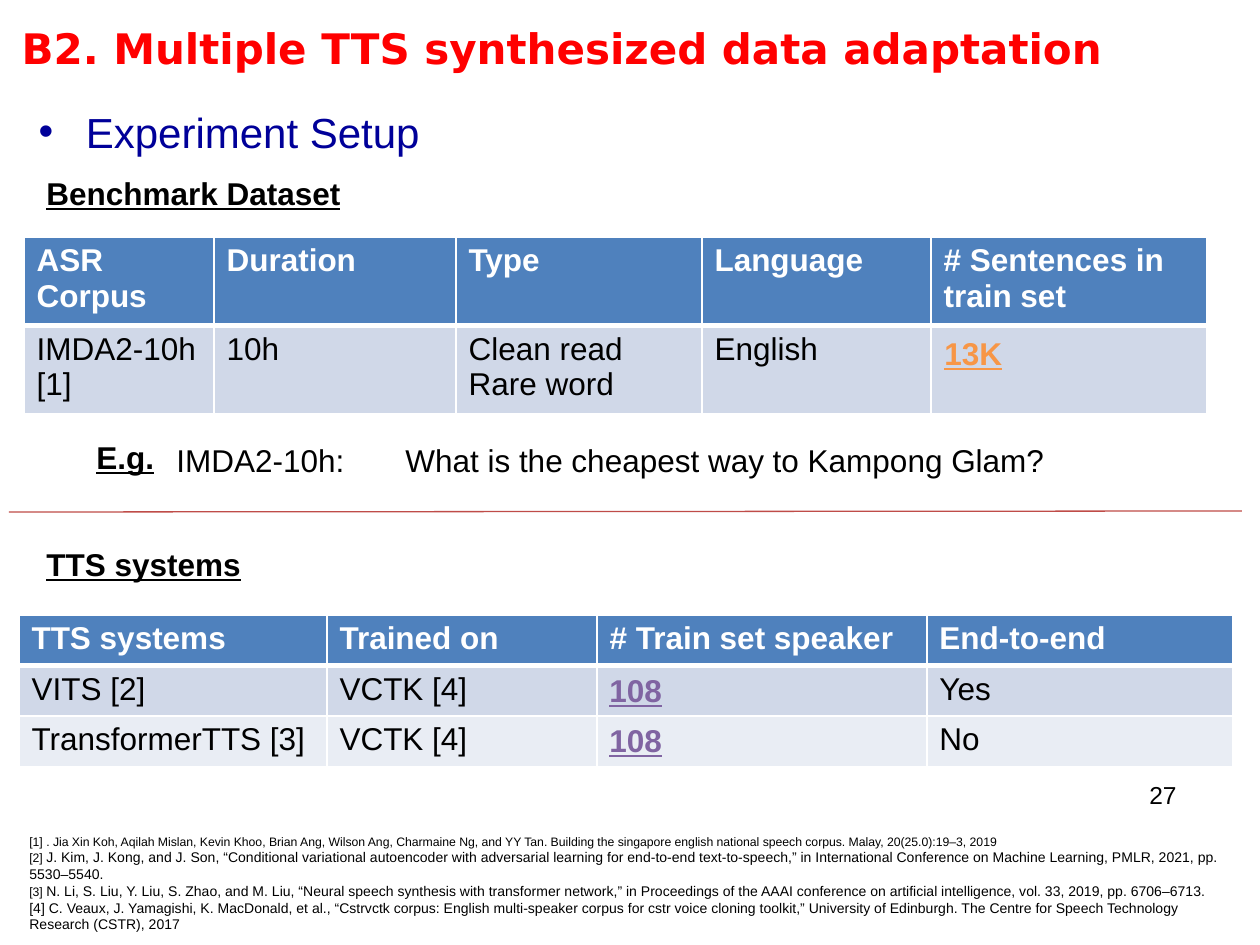
from lxml.etree import SubElement
from pptx import Presentation
from pptx.dml.color import RGBColor
from pptx.enum.shapes import MSO_CONNECTOR as Connector, MSO_SHAPE as Shape
from pptx.enum.text import MSO_ANCHOR as Anchor, MSO_AUTO_SIZE as AutoSize, PP_ALIGN as Align
from pptx.oxml import parse_xml
from pptx.oxml.ns import nsdecls, qn
from pptx.util import Emu, Pt

PX = 914400 / 126
RED = RGBColor(0xFF, 0x00, 0x00)
NAVY = RGBColor(0x00, 0x00, 0x99)
BLACK = RGBColor(0x00, 0x00, 0x00)
WHITE = RGBColor(0xFF, 0xFF, 0xFF)
HEADER_BLUE = RGBColor(0x4F, 0x81, 0xBD)
BAND_BLUE = RGBColor(0xD0, 0xD8, 0xE8)
BAND_LIGHT = RGBColor(0xE9, 0xED, 0xF4)
RULE_RED = RGBColor(0xBF, 0x4C, 0x48)
ORANGE = RGBColor(0xF7, 0x96, 0x46)
PURPLE = RGBColor(0x80, 0x64, 0xA2)

DATASET_ROWS = [
    ["ASR Corpus", "Duration", "Type", "Language", "# Sentences in train set"],
    ["IMDA2-10h [1]", "10h", "Clean read\nRare word", "English", ""],
]
SYSTEM_ROWS = [
    ["TTS systems", "Trained on", "# Train set speaker", "End-to-end"],
    ["VITS [2]", "VCTK [4]", "", "Yes"],
    ["TransformerTTS [3]", "VCTK [4]", "", "No"],
]
REFERENCES = [
    [("[1] . Jia Xin Koh, Aqilah Mislan, Kevin Khoo, Brian Ang, Wilson Ang, Charmaine Ng, and YY Tan. "
      "Building the singapore english national speech corpus. Malay, 20(25.0):19–3, 2019", 7)],
    [("[2] ", 7),
     ("J. Kim, J. Kong, and J. Son, “Conditional variational autoencoder with adversarial learning for "
      "end-to-end text-to-speech,” in International Conference on Machine Learning, PMLR, 2021, "
      "pp. 5530–5540.", 8)],
    [("[3] ", 7),
     ("N. Li, S. Liu, Y. Liu, S. Zhao, and M. Liu, “Neural speech synthesis with transformer network,” in "
      "Proceedings of the AAAI conference on artificial intelligence, vol. 33, 2019, pp. 6706–6713.", 8)],
    [("[4] C. Veaux, J. Yamagishi, K. MacDonald, et al., “Cstrvctk corpus: English multi-speaker corpus for "
      "cstr voice cloning toolkit,” University of Edinburgh. The Centre for Speech Technology Research "
      "(CSTR), 2017", 8)],
]


def px(length):
    return Emu(round(length * PX))


class SlideBuilder:
    """Hold the text style and the current slide, and add each kind of element."""

    def __init__(self, slide, font="Arial", size=18):
        self.slide, self.font, self.size = slide, font, size

    def format_runs(self, text_frame, color=BLACK, bold=False, underline=False, size=None, font=None):
        for paragraph in text_frame.paragraphs:
            for run in paragraph.runs:
                run.font.name = font or self.font
                run.font.size = Pt(size or self.size)
                run.font.bold = bold
                run.font.underline = underline
                run.font.color.rgb = color

    def placeholder(self, index, text, box, **style):
        shape = self.slide.placeholders[index]
        shape.left, shape.top, shape.width, shape.height = map(px, box)
        shape.text_frame.text = text
        shape.text_frame.paragraphs[0].alignment = Align.LEFT
        self.format_runs(shape.text_frame, **style)
        return shape.text_frame

    def text(self, text, box, wrap=False, align=Align.LEFT, **style):
        text_frame = self.slide.shapes.add_textbox(*map(px, box)).text_frame
        text_frame.word_wrap = wrap
        text_frame.text = text
        text_frame.paragraphs[0].alignment = align
        self.format_runs(text_frame, **style)
        return text_frame

    def tab_stop(self, paragraph, position):
        properties = paragraph._p.get_or_add_pPr()
        stops = SubElement(properties, qn("a:tabLst"))
        SubElement(stops, qn("a:tab"), pos=str(px(position)), algn="l")

    def border(self, cell, bottom):
        properties = cell._tc.get_or_add_tcPr()
        for index, (side, width) in enumerate(zip("LRTB", (1, 1, 1, bottom))):
            properties.insert(index, parse_xml(
                f'<a:ln{side} {nsdecls("a")} w="{Pt(width)}"><a:solidFill>'
                f'<a:srgbClr val="{WHITE}"/></a:solidFill></a:ln{side}>'))

    def table(self, rows, left, top, column_widths, row_height):
        table = self.slide.shapes.add_table(
            len(rows), len(column_widths), px(left), px(top),
            px(sum(column_widths)), px(row_height * len(rows))).table
        for column, width in zip(table.columns, column_widths):
            column.width = px(width)
        for row_index, row in enumerate(rows):
            header = row_index == 0
            fill = HEADER_BLUE if header else (BAND_LIGHT, BAND_BLUE)[row_index % 2]
            for column_index, text in enumerate(row):
                cell = table.cell(row_index, column_index)
                cell.text_frame.text = text
                cell.fill.solid()
                cell.fill.fore_color.rgb = fill
                self.border(cell, bottom=3 if header else 1)
                self.format_runs(cell.text_frame, color=WHITE if header else BLACK, bold=header)

    def rule(self, start, end, color, width):
        line = self.slide.shapes.add_connector(Connector.STRAIGHT, *map(px, start + end))
        line.line.color.rgb = color
        line.line.width = Pt(width)
        SubElement(line._element.spPr, qn("a:effectLst"))

    def references(self, entries, box, indent):
        shape = self.slide.shapes.add_shape(Shape.RECTANGLE, *map(px, box))
        shape.shadow.inherit = False
        shape.fill.solid()
        shape.fill.fore_color.rgb = WHITE
        shape.line.fill.background()
        text_frame = shape.text_frame
        text_frame.word_wrap = True
        text_frame.vertical_anchor = Anchor.TOP
        for index, entry in enumerate(entries):
            paragraph = text_frame.add_paragraph() if index else text_frame.paragraphs[0]
            paragraph.alignment = Align.LEFT
            paragraph._p.get_or_add_pPr().set("marL", str(px(indent)))
            for text, _ in entry:
                paragraph.add_run().text = text
        self.format_runs(text_frame)
        for paragraph, entry in zip(text_frame.paragraphs, entries):
            for run, (_, size) in zip(paragraph.runs, entry):
                run.font.size = Pt(size)


def main():
    presentation = Presentation()
    presentation.slide_width, presentation.slide_height = px(1260), px(945)
    slide = presentation.slides.add_slide(presentation.slide_layouts[1])
    builder = SlideBuilder(slide)
    heading = {"bold": True, "underline": True}

    title = builder.placeholder(0, "B2. Multiple TTS synthesized data adaptation", (9, -10, 1134, 115),
                                color=RED, bold=True, size=24, font="DejaVu Sans")
    title.vertical_anchor = Anchor.MIDDLE
    body = builder.placeholder(1, "Experiment Setup", (26, 100, 1171, 725), color=NAVY, size=24)
    body.auto_size = AutoSize.NONE
    builder.text("27", (895, 774, 294, 66), wrap=True, align=Align.RIGHT, size=14)

    builder.text("Benchmark Dataset", (34, 168, 323, 50), **heading)
    builder.table(DATASET_ROWS, 24, 237, (190, 242, 246, 229, 276), 83)
    example = builder.text("IMDA2-10h:\tWhat is the cheapest way to Kampong Glam?",
                           (164, 435, 1009, 50), wrap=True)
    builder.tab_stop(example.paragraphs[0], 229)
    builder.text("E.g.", (84, 432, 83, 50), **heading)

    builder.references(REFERENCES, (9, 828, 1242, 112), 8)
    builder.rule((9, 512), (1242, 511), RULE_RED, 0.75)

    builder.text("TTS systems", (34, 539, 222, 50), **heading)
    builder.table(SYSTEM_ROWS, 19, 615, (308, 270, 330, 306), 50)

    builder.text("13K", (932, 328, 83, 50), color=ORANGE, **heading)
    for top in (665, 715):
        builder.text("108", (597, top, 78, 50), color=PURPLE, **heading)

    presentation.save("out.pptx")


if __name__ == "__main__":
    main()
